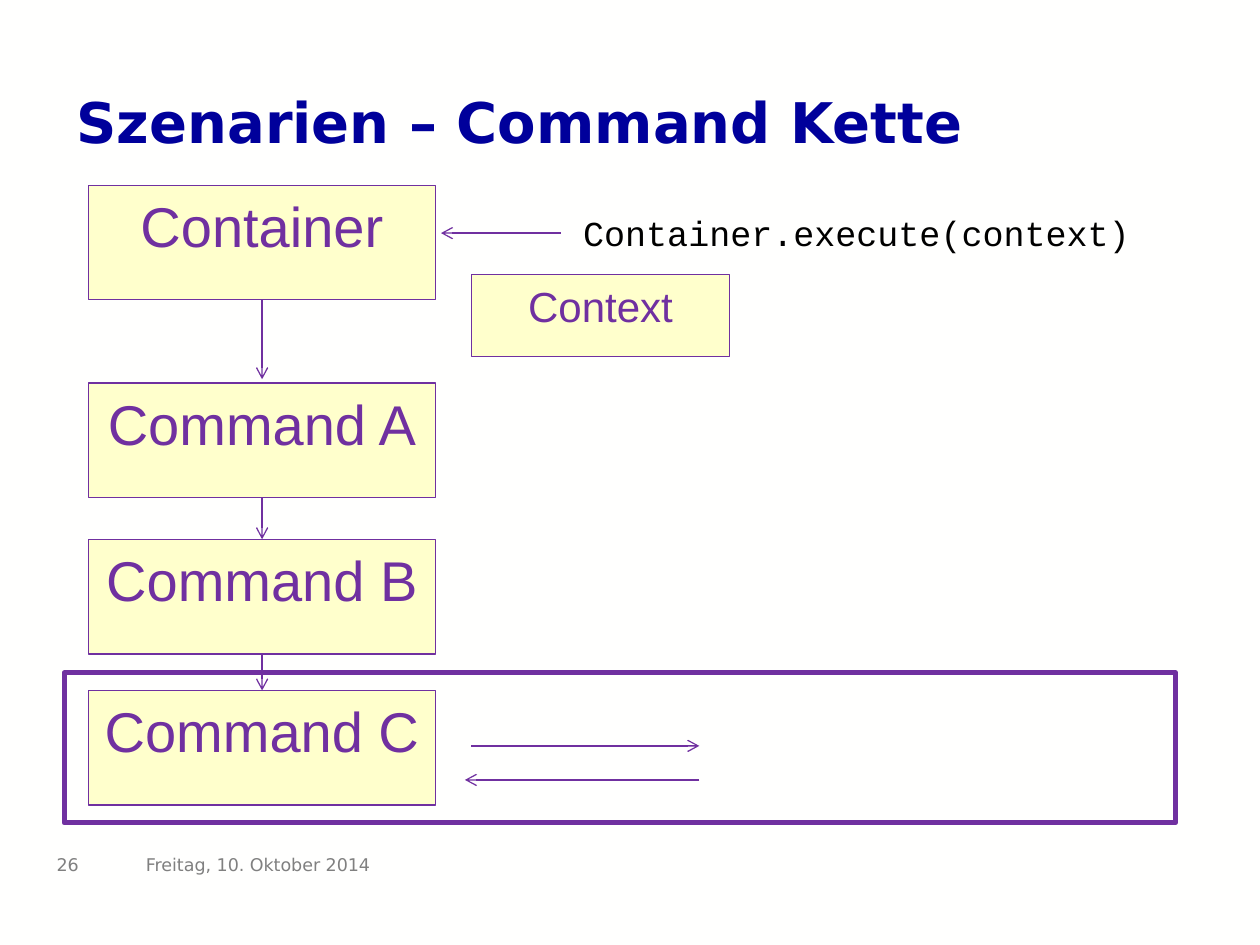
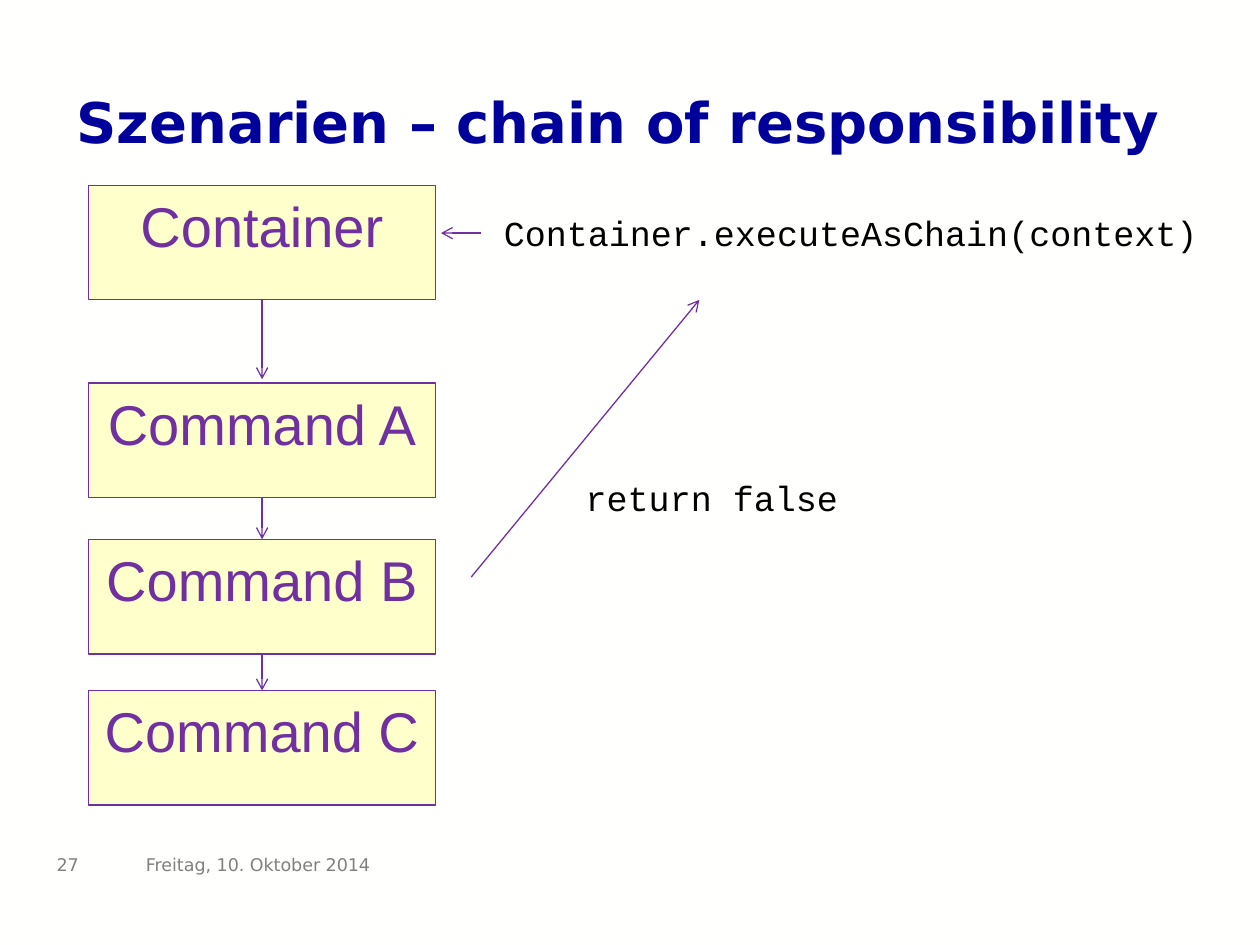
from dataclasses import dataclass
from itertools import pairwise
from typing import NamedTuple

from lxml import etree
from pptx import Presentation
from pptx.dml.color import RGBColor
from pptx.enum import shapes, text
from pptx.oxml import ns
from pptx.util import Emu, Inches, Pt

WIDTH, HEIGHT = Inches(10), Inches(7.5)
COLUMNS, ROWS = 100, 75


class Box(NamedTuple):
    col: float
    row: float
    cols: float
    rows: float


class Arrow(NamedTuple):
    col: float
    row: float
    to_col: float
    to_row: float


class Label(NamedTuple):
    words: str
    box: Box


@dataclass(frozen=True)
class Style:
    font: str
    size: float
    color: str
    bold: bool = False
    spacing: float | None = None


@dataclass(frozen=True)
class Theme:
    background: str = "FFFFFE"
    node_fill: str = "FFFFCC"
    accent: str = "7030A0"
    thin: float = 0.75
    thick: float = 3
    title: Style = Style("DejaVu Sans", 32, "00009B", True, 29)
    footer: Style = Style("DejaVu Sans", 10, "808080")
    node: Style = Style("Arial", 32, "7030A0")
    context: Style = Style("Arial", 24, "7030A0")
    code: Style = Style("Courier New", 20, "000000")


@dataclass(frozen=True)
class Scenario:
    number: int
    title: str
    calls: tuple[Label, ...]
    arrows: tuple[Arrow, ...]
    context: Label | None = None
    highlight: Box | None = None


THEME = Theme()
TITLE_BOX = Box(5.1, 4.4, 89.8, 11.7)
NUMBER_BOX = Box(3.5, 66.6, 7.1, 4)
DATE = Label("Freitag, 10. Oktober 2014", Box(10.6, 66.6, 23.3, 4))
CHAIN_ROWS = {"Container": 14.7, "Command A": 30.4, "Command B": 42.8, "Command C": 54.8}
CHAIN_COL, NODE_COLS, NODE_ROWS = 7, 27.6, 9.1
CONTAINER_ARROW_END = 30.1
CALL_ROW, CALL_TARGET, SIDE_COL, SIDE_END = 18.5, 35, 37.4, 55.5

SCENARIOS = (
    Scenario(
        26,
        "Szenarien – Command Kette",
        calls=(Label("Container.execute(context)", Box(45.3, 16.3, 45.8, 4.4)),),
        arrows=(
            Arrow(44.5, CALL_ROW, CALL_TARGET, CALL_ROW),
            Arrow(SIDE_COL, 59.2, SIDE_END, 59.2),
            Arrow(SIDE_END, 61.9, 36.9, 61.9),
        ),
        context=Label("Context", Box(SIDE_COL, 21.8, 20.5, 6.5)),
        highlight=Box(5.1, 53.4, 88.2, 11.9),
    ),
    Scenario(
        27,
        "Szenarien – chain of responsibility",
        calls=(
            Label("Container.executeAsChain(context)", Box(39, 16.3, 57.6, 4.4)),
            Label("return false", Box(45.5, 37.3, 22.2, 4.4)),
        ),
        arrows=(
            Arrow(38.2, CALL_ROW, CALL_TARGET, CALL_ROW),
            Arrow(SIDE_COL, 45.8, SIDE_END, 23.8),
        ),
    ),
)


def x(cols: float) -> Emu:
    return Emu(round(WIDTH * cols / COLUMNS))


def y(rows: float) -> Emu:
    return Emu(round(HEIGHT * rows / ROWS))


def place(box: Box) -> tuple[Emu, Emu, Emu, Emu]:
    return x(box.col), y(box.row), x(box.cols), y(box.rows)


def write(frame, words: str, style: Style, align=text.PP_ALIGN.LEFT) -> None:
    paragraph = frame.paragraphs[0]
    paragraph.alignment = align
    if style.spacing:
        paragraph.line_spacing = Pt(style.spacing)
    run = paragraph.add_run()
    run.text = words
    run.font.name = style.font
    run.font.size = Pt(style.size)
    run.font.bold = style.bold
    run.font.color.rgb = RGBColor.from_string(style.color)


def add_text(slide, label: Label, style: Style) -> None:
    frame = slide.shapes.add_textbox(*place(label.box)).text_frame
    frame.word_wrap = True
    frame.vertical_anchor = text.MSO_ANCHOR.MIDDLE
    write(frame, label.words, style)


def add_code(slide, label: Label) -> None:
    frame = slide.shapes.add_textbox(*place(label.box)).text_frame
    frame.word_wrap = False
    frame.auto_size = text.MSO_AUTO_SIZE.SHAPE_TO_FIT_TEXT
    write(frame, label.words, THEME.code)


def outline(line, weight: float) -> None:
    line.color.rgb = RGBColor.from_string(THEME.accent)
    line.width = Pt(weight)


def add_rectangle(slide, box: Box, weight: float):
    rectangle = slide.shapes.add_shape(shapes.MSO_SHAPE.RECTANGLE, *place(box))
    rectangle.shadow.inherit = False
    rectangle.fill.background()
    outline(rectangle.line, weight)
    return rectangle


def add_node(slide, label: Label, style: Style):
    node = add_rectangle(slide, label.box, THEME.thin)
    node.fill.solid()
    node.fill.fore_color.rgb = RGBColor.from_string(THEME.node_fill)
    node.text_frame.vertical_anchor = text.MSO_ANCHOR.TOP
    write(node.text_frame, label.words, style, text.PP_ALIGN.CENTER)
    return node


def add_arrow(slide, arrow: Arrow):
    connector = slide.shapes.add_connector(
        shapes.MSO_CONNECTOR.STRAIGHT,
        x(arrow.col), y(arrow.row), x(arrow.to_col), y(arrow.to_row),
    )
    outline(connector.line, THEME.thin)
    properties = connector._element.spPr
    etree.SubElement(properties.find(ns.qn("a:ln")), ns.qn("a:tailEnd"), type="arrow")
    etree.SubElement(properties, ns.qn("a:effectLst"))
    return connector


def add_chain(slide) -> None:
    nodes = {
        name: add_node(slide, Label(name, Box(CHAIN_COL, row, NODE_COLS, NODE_ROWS)), THEME.node)
        for name, row in CHAIN_ROWS.items()
    }
    middle = CHAIN_COL + NODE_COLS / 2
    for caller, callee in pairwise(CHAIN_ROWS):
        from_container = caller == "Container"
        end = CONTAINER_ARROW_END if from_container else CHAIN_ROWS[callee]
        link = add_arrow(slide, Arrow(middle, CHAIN_ROWS[caller] + NODE_ROWS, middle, end))
        link.begin_connect(nodes[caller], 2)
        if not from_container:
            link.end_connect(nodes[callee], 0)


def add_scenario(deck, scenario: Scenario) -> None:
    slide = deck.slides.add_slide(deck.slide_layouts[6])
    add_text(slide, Label(scenario.title, TITLE_BOX), THEME.title)
    add_text(slide, DATE, THEME.footer)
    add_text(slide, Label(str(scenario.number), NUMBER_BOX), THEME.footer)
    add_chain(slide)
    for call in scenario.calls:
        add_code(slide, call)
    for arrow in scenario.arrows:
        add_arrow(slide, arrow)
    if scenario.context:
        add_node(slide, scenario.context, THEME.context)
    if scenario.highlight:
        add_rectangle(slide, scenario.highlight, THEME.thick)


def main() -> None:
    deck = Presentation()
    deck.slide_width, deck.slide_height = WIDTH, HEIGHT
    backdrop = deck.slide_master.background.fill
    backdrop.solid()
    backdrop.fore_color.rgb = RGBColor.from_string(THEME.background)
    for scenario in SCENARIOS:
        add_scenario(deck, scenario)
    deck.save("out.pptx")


if __name__ == "__main__":
    main()
